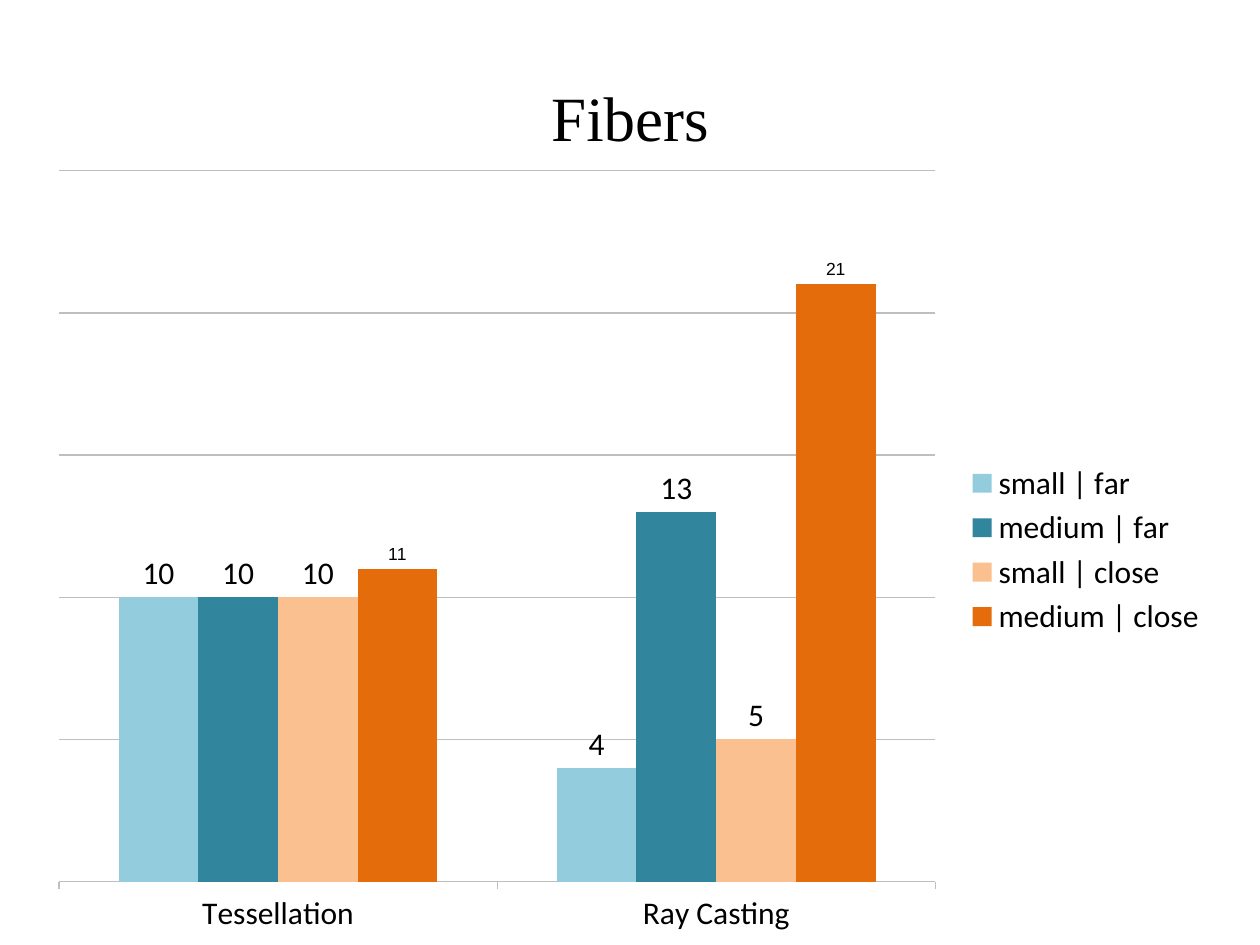
from lxml.etree import SubElement
from pptx import Presentation
from pptx.chart.data import CategoryChartData
from pptx.dml.color import RGBColor
from pptx.enum.chart import (XL_CHART_TYPE, XL_LABEL_POSITION,
                             XL_LEGEND_POSITION, XL_TICK_MARK)
from pptx.enum.text import MSO_ANCHOR, PP_ALIGN
from pptx.oxml.ns import qn
from pptx.util import Pt

COLORS = {"text": "000000", "grid": "BFBFBF"}
SERIES = [
    ("small | far", (10, 4), "93CDDD", "Calibri", 18),
    ("medium | far", (10, 13), "31859C", "Calibri", 18),
    ("small | close", (10, 5), "FAC090", "Calibri", 18),
    ("medium | close", (11, 21), "E46C0A", "Arial", 10),
]


def set_font(font, name, size):
    font.name = name
    font.size = Pt(size)
    font.color.rgb = RGBColor.from_string(COLORS["text"])


prs = Presentation()
prs.slide_width, prs.slide_height = Pt(720), Pt(540)
s = prs.slides.add_slide(prs.slide_layouts[5])

# Title
title = s.shapes.title
title.left, title.top, title.width, title.height = Pt(36), Pt(21.6), Pt(648), Pt(90)
tf = title.text_frame
tf.text = "Fibers"
tf.vertical_anchor = MSO_ANCHOR.MIDDLE
p = tf.paragraphs[0]
p.alignment = PP_ALIGN.CENTER
set_font(p.runs[0].font, "Times New Roman", 36)

# Chart
data = CategoryChartData()
data.categories = ["Tessellation", "Ray Casting"]
for name, values, *_ in SERIES:
    data.add_series(name, values)
chart = s.shapes.add_chart(XL_CHART_TYPE.COLUMN_CLUSTERED, Pt(20.16), Pt(88.56),
                           Pt(676.8), Pt(451.44), data).chart
set_font(chart.font, "Calibri", 18)
chart.has_title = False
chart.has_legend = True
chart.legend.position = XL_LEGEND_POSITION.RIGHT
chart.legend.include_in_layout = False

plot = chart.plots[0]
plot.gap_width = 150
plot.overlap = 0
plot.vary_by_categories = False
for series, (_, _, color, font_name, size) in zip(plot.series, SERIES):
    series.format.fill.solid()
    series.format.fill.fore_color.rgb = RGBColor.from_string(color)
    labels = series.data_labels
    labels.show_value = True
    labels.position = XL_LABEL_POSITION.OUTSIDE_END
    set_font(labels.font, font_name, size)

# Axes
val_axis, cat_axis = chart.value_axis, chart.category_axis
val_axis.visible = False
val_axis.minimum_scale, val_axis.maximum_scale, val_axis.major_unit = 0, 25, 5
val_axis.has_major_gridlines = True
cat_axis.major_tick_mark = XL_TICK_MARK.OUTSIDE
for line in (val_axis.major_gridlines.format.line, cat_axis.format.line):
    line.color.rgb = RGBColor.from_string(COLORS["grid"])
    line.width = Pt(0.75)

# Fixed inner plot area, as fractions of the chart
plot_area = chart._chartSpace.chart.plotArea
layout = plot_area.find(qn("c:layout"))
if layout is None:
    layout = SubElement(plot_area, qn("c:layout"))
    plot_area.insert(0, layout)
manual = SubElement(layout, qn("c:manualLayout"))
for tag, val in (("layoutTarget", "inner"), ("xMode", "edge"), ("yMode", "edge"),
                 ("x", "0.02"), ("y", "0.02"), ("w", "0.74"), ("h", "0.9")):
    SubElement(manual, qn(f"c:{tag}")).set("val", val)

prs.save("out.pptx")
